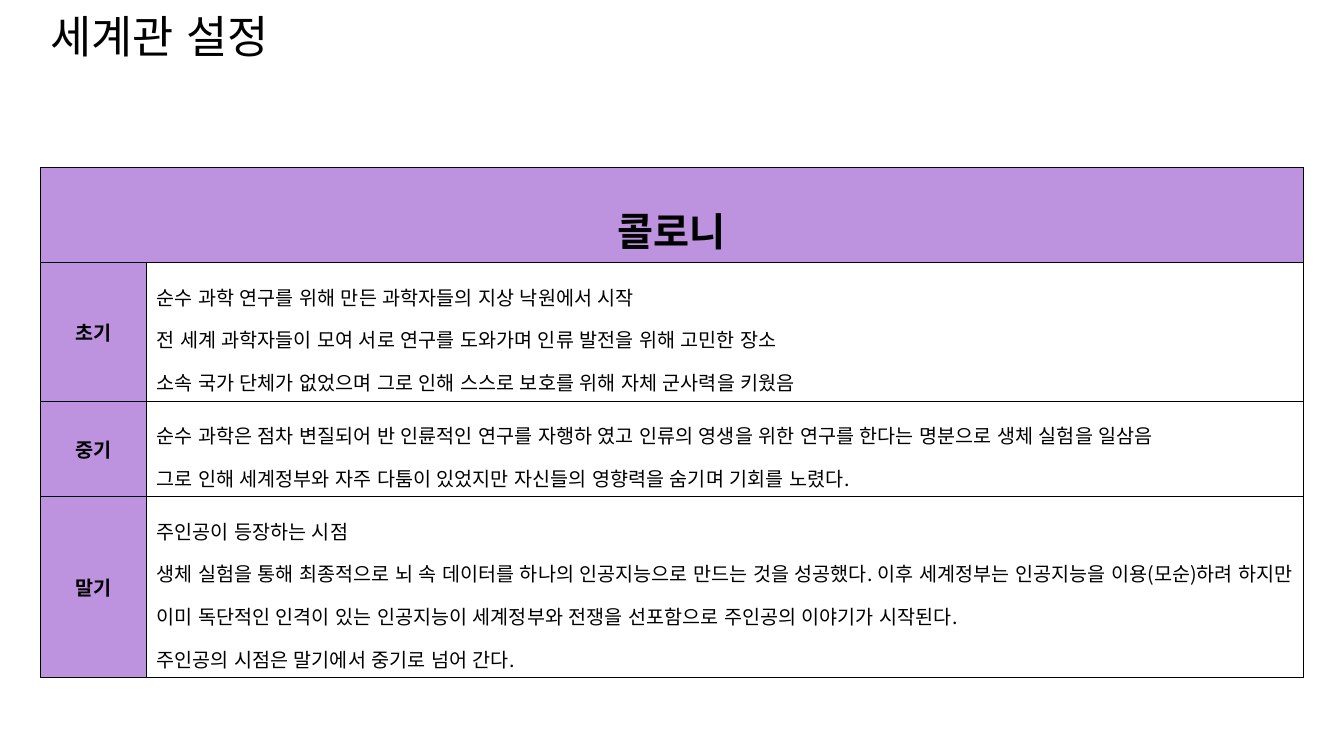
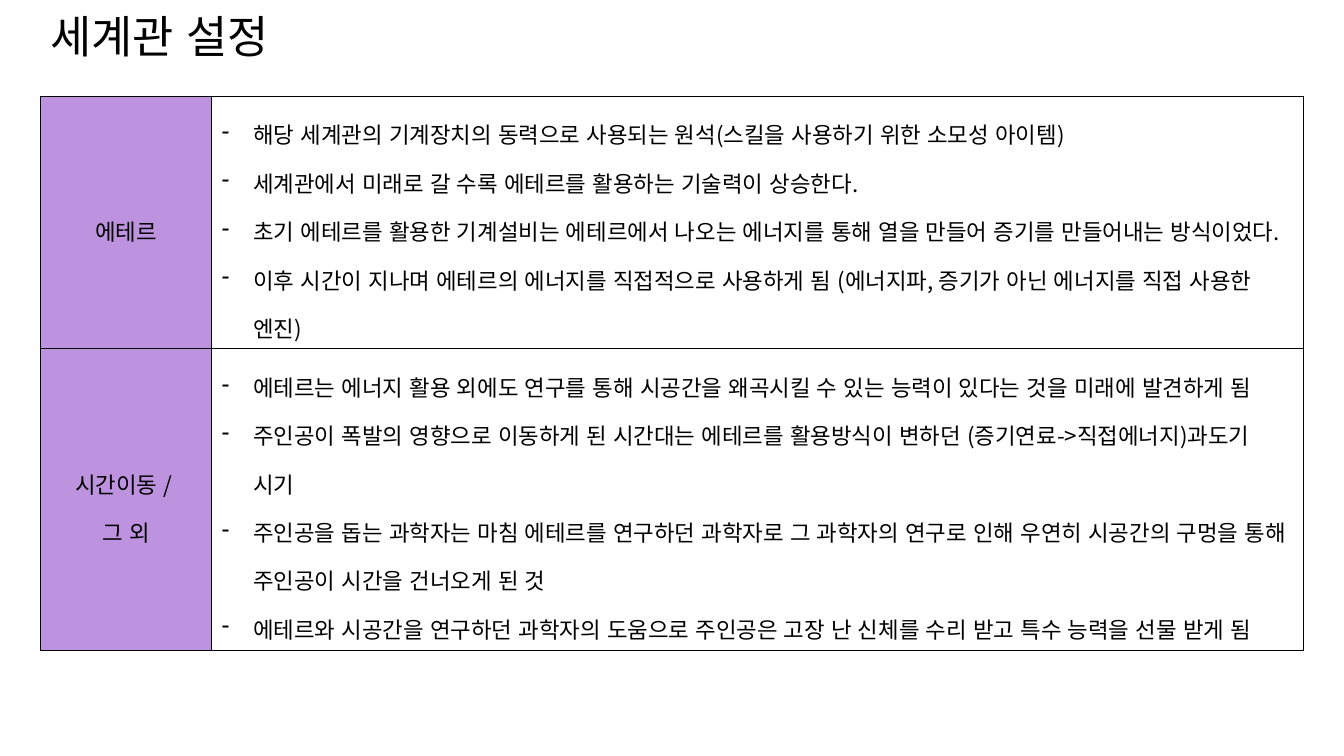
import pptx
import pptx.util
import pptx.oxml
import pptx.oxml.ns
import pptx.dml.color
import pptx.enum.lang
import pptx.enum.text
from pptx.util import Cm

BLACK = pptx.dml.color.RGBColor(0x00, 0x00, 0x00)
WHITE = pptx.dml.color.RGBColor(0xFF, 0xFF, 0xFF)
PURPLE = pptx.dml.color.RGBColor(0xBD, 0x92, 0xDE)
FONT = "Noto Sans CJK KR"
NS = pptx.oxml.ns.nsdecls("a")
LEFT = Cm(1.02)
MIDDLE = pptx.enum.text.MSO_ANCHOR.MIDDLE


def put_text(tf, text, size, bold=False, center=False, spacing=1.5, bullet=None):
    """Write one paragraph per line of text."""
    for i, line in enumerate(text.split("\n")):
        p = tf.add_paragraph() if i else tf.paragraphs[0]
        if bullet:
            pPr = p._p.get_or_add_pPr()
            pPr.set("marL", str(Cm(0.79)))
            pPr.set("indent", str(-Cm(0.79)))
            pPr.append(pptx.oxml.parse_xml(f'<a:buChar {NS} char="{bullet}"/>'))
        p.line_spacing = spacing
        if center:
            p.alignment = pptx.enum.text.PP_ALIGN.CENTER
        r = p.add_run()
        r.text = line
        r.font.size = pptx.util.Pt(size)
        r.font.bold = bold
        r.font.color.rgb = BLACK
        r.font.name = FONT
        r.font.language_id = pptx.enum.lang.MSO_LANGUAGE_ID.KOREAN
        r._r.rPr.append(pptx.oxml.parse_xml(f'<a:ea {NS} typeface="{FONT}"/>'))


def style_cell(cell, fill):
    """Give a cell thin black borders and its fill."""
    tcPr = cell._tc.get_or_add_tcPr()
    for side in "LRTB":
        tcPr.append(pptx.oxml.parse_xml(
            f'<a:ln{side} {NS} w="12700"><a:solidFill><a:srgbClr val="{BLACK}"/>'
            f'</a:solidFill></a:ln{side}>'))
    cell.fill.solid()
    cell.fill.fore_color.rgb = fill
    cell.vertical_anchor = MIDDLE


# Contents: (label, text, row height in cm)
COLONY = [
    ("초기", "순수 과학 연구를 위해 만든 과학자들의 지상 낙원에서 시작\n"
     "전 세계 과학자들이 모여 서로 연구를 도와가며 인류 발전을 위해 고민한 장소\n"
     "소속 국가 단체가 없었으며 그로 인해 스스로 보호를 위해 자체 군사력을 키웠음", 3.5),
    ("중기", "순수 과학은 점차 변질되어 반 인륜적인 연구를 자행하 였고 인류의 영생을 위한 "
     "연구를 한다는 명분으로 생체 실험을 일삼음\n"
     "그로 인해 세계정부와 자주 다툼이 있었지만 자신들의 영향력을 숨기며 기회를 노렸다.", 2.4),
    ("말기", "주인공이 등장하는 시점\n"
     "생체 실험을 통해 최종적으로 뇌 속 데이터를 하나의 인공지능으로 만드는 것을 성공했다. "
     "이후 세계정부는 인공지능을 이용(모순)하려 하지만 이미 독단적인 인격이 있는 "
     "인공지능이 세계정부와 전쟁을 선포함으로 주인공의 이야기가 시작된다.\n"
     "주인공의 시점은 말기에서 중기로 넘어 간다.", 4.55),
]
ETHER = [
    ("에테르", "해당 세계관의 기계장치의 동력으로 사용되는 원석(스킬을 사용하기 위한 소모성 아이템)\n"
     "세계관에서 미래로 갈 수록 에테르를 활용하는 기술력이 상승한다.\n"
     "초기 에테르를 활용한 기계설비는 에테르에서 나오는 에너지를 통해 열을 만들어 "
     "증기를 만들어내는 방식이었다.\n"
     "이후 시간이 지나며 에테르의 에너지를 직접적으로 사용하게 됨 "
     "(에너지파, 증기가 아닌 에너지를 직접 사용한 엔진)", 6.35),
    ("시간이동 / \n그 외", "에테르는 에너지 활용 외에도 연구를 통해 시공간을 왜곡시킬 수 있는 "
     "능력이 있다는 것을 미래에 발견하게 됨\n"
     "주인공이 폭발의 영향으로 이동하게 된 시간대는 에테르를 활용방식이 변하던 "
     "(증기연료->직접에너지)과도기 시기\n"
     "주인공을 돕는 과학자는 마침 에테르를 연구하던 과학자로 그 과학자의 연구로 인해 "
     "우연히 시공간의 구멍을 통해 주인공이 시간을 건너오게 된 것\n"
     "에테르와 시공간을 연구하던 과학자의 도움으로 주인공은 고장 난 신체를 수리 받고 "
     "특수 능력을 선물 받게 됨", 7.6),
]
SLIDES = [
    dict(header="콜로니", rows=COLONY, top=4.22, cols=(2.67, 29.16), size=14,
         label=dict(bold=True, spacing=1.0), bullet=None),
    dict(header=None, rows=ETHER, top=2.44, cols=(4.32, 27.5), size=16,
         label=dict(), bullet="-"),
]
HEADER_HEIGHT = 2.4

prs = pptx.Presentation()
prs.slide_width, prs.slide_height = Cm(33.87), Cm(19.05)

for page in SLIDES:
    s = prs.slides.add_slide(prs.slide_layouts[6])

    # Title
    tf = s.shapes.add_textbox(LEFT, Cm(0.38), Cm(29.21), Cm(2)).text_frame
    tf.word_wrap = True
    tf.margin_top = 0
    put_text(tf, "세계관 설정", 32, spacing=0.9)

    # Table grid
    heights = [row[2] for row in page["rows"]]
    if page["header"]:
        heights.insert(0, HEADER_HEIGHT)
    tbl = s.shapes.add_table(len(heights), 2, LEFT, Cm(page["top"]),
                             Cm(sum(page["cols"])), Cm(sum(heights))).table
    tbl.first_row = tbl.horz_banding = False
    for col, width in zip(tbl.columns, page["cols"]):
        col.width = Cm(width)
    for row, height in zip(tbl.rows, heights):
        row.height = Cm(height)
        for cell, fill in zip(row.cells, (PURPLE, WHITE)):
            style_cell(cell, fill)

    # Header across both columns
    first = 0
    if page["header"]:
        tbl.cell(0, 0).merge(tbl.cell(0, 1))
        put_text(tbl.cell(0, 0).text_frame, page["header"], 28, bold=True, center=True)
        first = 1

    # Labels and descriptions
    for i, (label, text, _) in enumerate(page["rows"], first):
        put_text(tbl.cell(i, 0).text_frame, label, page["size"], center=True, **page["label"])
        put_text(tbl.cell(i, 1).text_frame, text, page["size"], bullet=page["bullet"])

prs.save("out.pptx")
